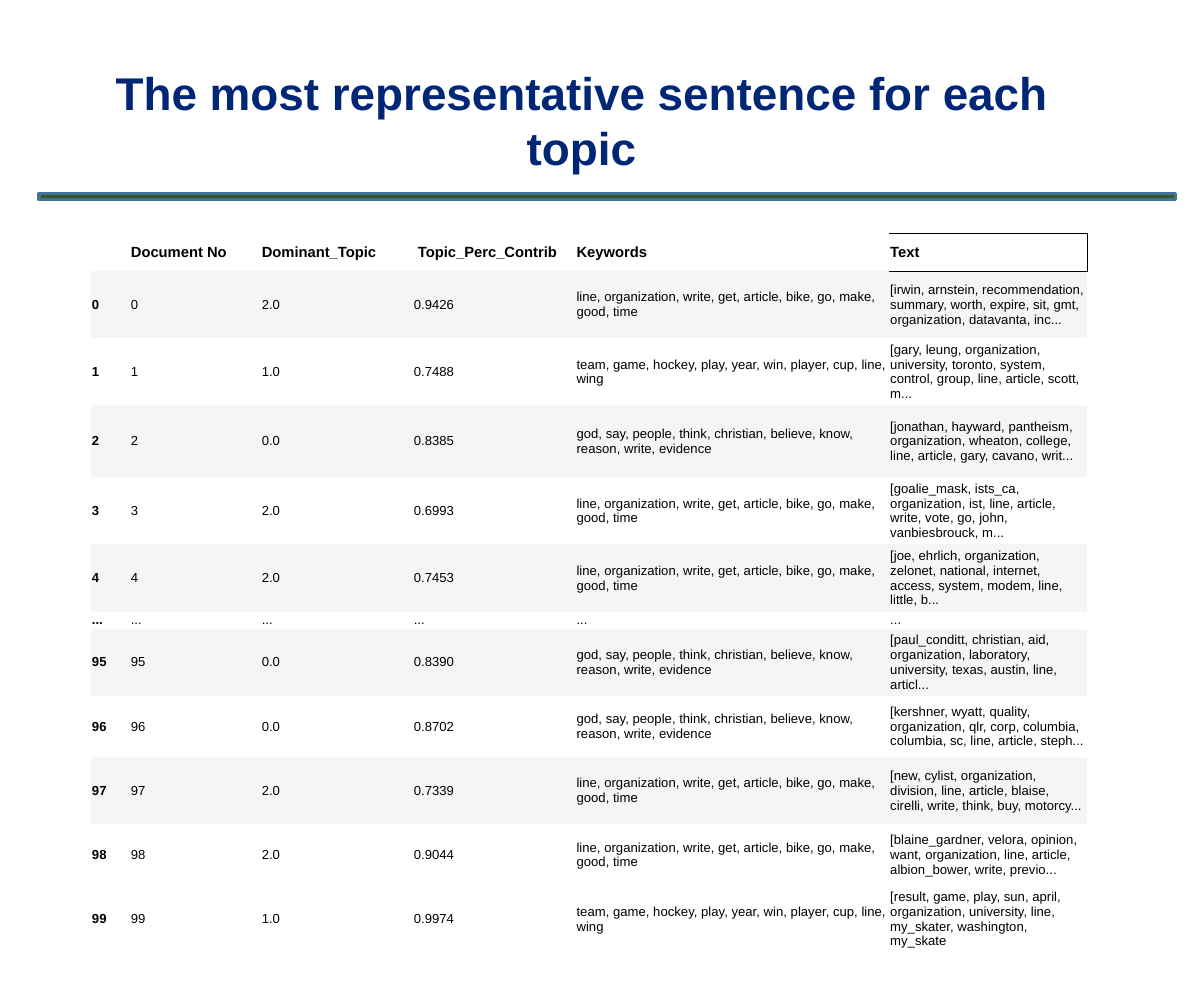
from dataclasses import dataclass

from lxml import etree
from pptx import Presentation
from pptx.dml.color import RGBColor
from pptx.enum.shapes import MSO_SHAPE
from pptx.enum.text import MSO_ANCHOR, MSO_AUTO_SIZE, PP_ALIGN
from pptx.oxml.ns import qn
from pptx.util import Inches, Pt

RECTANGLE = MSO_SHAPE.RECTANGLE
TOP, MIDDLE = MSO_ANCHOR.TOP, MSO_ANCHOR.MIDDLE
CENTER = PP_ALIGN.CENTER
NO_AUTOFIT = MSO_AUTO_SIZE.NONE
TITLE_ONLY_LAYOUT = 5
NO_STYLE_NO_GRID = "{2D5ABB26-0587-4C30-8999-92F81FD0307C}"


@dataclass(frozen=True)
class Theme:
    font: str = "Arial"
    title_size: float = 28
    header_size: float = 9
    body_size: float = 8
    title: str = "002776"
    text: str = "000000"
    rule_fill: str = "385623"
    rule_line: str = "42719B"
    plain: str = "FFFFFF"
    band: str = "F5F5F5"


THEME = Theme()

COLUMN_WIDTHS = [0.33, 1.11, 1.29, 1.38, 2.66, 1.68]
HEADER_HEIGHT, ROW_HEIGHT = 0.32, 0.57
SPECIAL_HEIGHTS = {"2": 0.61, "...": 0.07, "96": 0.52, "98": 0.52}

HEADERS = ["", "Document No", "Dominant_Topic", " Topic_Perc_Contrib", "Keywords", "Text"]
TOPIC_KEYWORDS = {
    "0.0": "god, say, people, think, christian, believe, know, reason, write, evidence",
    "1.0": "team, game, hockey, play, year, win, player, cup, line, wing",
    "2.0": "line, organization, write, get, article, bike, go, make, good, time",
    "...": "...",
}
# Document number, dominant topic, contribution, text
DOCUMENTS = [
    ("0", "2.0", "0.9426", "[irwin, arnstein, recommendation, summary, worth, expire, sit, gmt, "
     "organization, datavanta, inc..."),
    ("1", "1.0", "0.7488", "[gary, leung, organization, university, toronto, system, control, "
     "group, line, article, scott, m..."),
    ("2", "0.0", "0.8385", "[jonathan, hayward, pantheism, organization, wheaton, college, line, "
     "article, gary, cavano, writ..."),
    ("3", "2.0", "0.6993", "[goalie_mask, ists_ca, organization, ist, line, article, write, vote, "
     "go, john, vanbiesbrouck, m..."),
    ("4", "2.0", "0.7453", "[joe, ehrlich, organization, zelonet, national, internet, access, "
     "system, modem, line, little, b..."),
    ("...", "...", "...", "..."),
    ("95", "0.0", "0.8390", "[paul_conditt, christian, aid, organization, laboratory, university, "
     "texas, austin, line, articl..."),
    ("96", "0.0", "0.8702", "[kershner, wyatt, quality, organization, qlr, corp, columbia, "
     "columbia, sc, line, article, steph..."),
    ("97", "2.0", "0.7339", "[new, cylist, organization, division, line, article, blaise, cirelli, "
     "write, think, buy, motorcy..."),
    ("98", "2.0", "0.9044", "[blaine_gardner, velora, opinion, want, organization, line, article, "
     "albion_bower, write, previo..."),
    ("99", "1.0", "0.9974", "[result, game, play, sun, april, organization, university, line, "
     "my_skater, washington, my_skate"),
]


def color(value):
    return RGBColor.from_string(value)


def set_font(paragraph, size, font_color, bold):
    font = paragraph.font
    font.name, font.size, font.bold = THEME.font, Pt(size), bold
    font.color.rgb = color(font_color)


def place(shape, box):
    shape.left, shape.top, shape.width, shape.height = map(Inches, box)


def add_title(slide, box, text):
    title = slide.shapes.title
    place(title, box)
    frame = title.text_frame
    frame.text = text
    frame.word_wrap = True
    frame.auto_size = NO_AUTOFIT
    frame.vertical_anchor = TOP
    paragraph = frame.paragraphs[0]
    paragraph.alignment = CENTER
    set_font(paragraph, THEME.title_size, THEME.title, True)


def add_rule(slide, box):
    rule = slide.shapes.add_shape(RECTANGLE, *map(Inches, box))
    rule.shadow.inherit = False
    rule.fill.solid()
    rule.fill.fore_color.rgb = color(THEME.rule_fill)
    rule.line.color.rgb = color(THEME.rule_line)
    rule.line.width = Pt(2)


def add_borders(cell, sides):
    properties = cell._tc.get_or_add_tcPr()
    for side in sides:
        line = etree.SubElement(properties, qn(f"a:ln{side}"), w=str(Pt(0.5)))
        fill = etree.SubElement(line, qn("a:solidFill"))
        etree.SubElement(fill, qn("a:srgbClr"), val=THEME.text)


def fill_cell(cell, text, size, bold, fill):
    cell.text = text
    cell.vertical_anchor = MIDDLE
    cell.margin_left = cell.margin_right = Inches(0.01)
    cell.margin_top = cell.margin_bottom = Inches(0.01)
    set_font(cell.text_frame.paragraphs[0], size, THEME.text, bold)
    if fill:
        cell.fill.solid()
        cell.fill.fore_color.rgb = color(fill)
    else:
        cell.fill.background()


def add_document_table(slide, box):
    frame = slide.shapes.add_table(len(DOCUMENTS) + 1, len(HEADERS), *map(Inches, box))
    table = frame.table
    table.first_row = table.horz_banding = False
    table._tbl.tblPr.find(qn("a:tableStyleId")).text = NO_STYLE_NO_GRID
    for column, width in zip(table.columns, COLUMN_WIDTHS):
        column.width = Inches(width)

    # Header row, with the last cell outlined
    table.rows[0].height = Inches(HEADER_HEIGHT)
    last = len(HEADERS) - 1
    add_borders(table.cell(0, last), "RTB")
    for index, header in enumerate(HEADERS):
        fill = None if index == last else THEME.plain
        fill_cell(table.cell(0, index), header, THEME.header_size, True, fill)

    # Document rows: every other one banded, the last left plain
    for row, (number, topic, share, text) in enumerate(DOCUMENTS, start=1):
        table.rows[row].height = Inches(SPECIAL_HEIGHTS.get(number, ROW_HEIGHT))
        banded = row % 2 == 1 and row < len(DOCUMENTS)
        fill = THEME.band if banded else THEME.plain
        values = [number, number, topic, share, TOPIC_KEYWORDS[topic], text]
        for index, value in enumerate(values):
            fill_cell(table.cell(row, index), value, THEME.body_size, index == 0, fill)


def main():
    presentation = Presentation()
    presentation.slide_width, presentation.slide_height = Inches(10.21), Inches(8.5)
    slide = presentation.slides.add_slide(presentation.slide_layouts[TITLE_ONLY_LAYOUT])
    add_title(slide, (0.52, 0.5, 8.82, 1.99), "The most representative sentence for each topic")
    add_rule(slide, (0.33, 1.64, 9.64, 0.05))
    add_document_table(slide, (0.77, 1.98, 8.45, 6.11))
    presentation.save("out.pptx")


if __name__ == "__main__":
    main()
